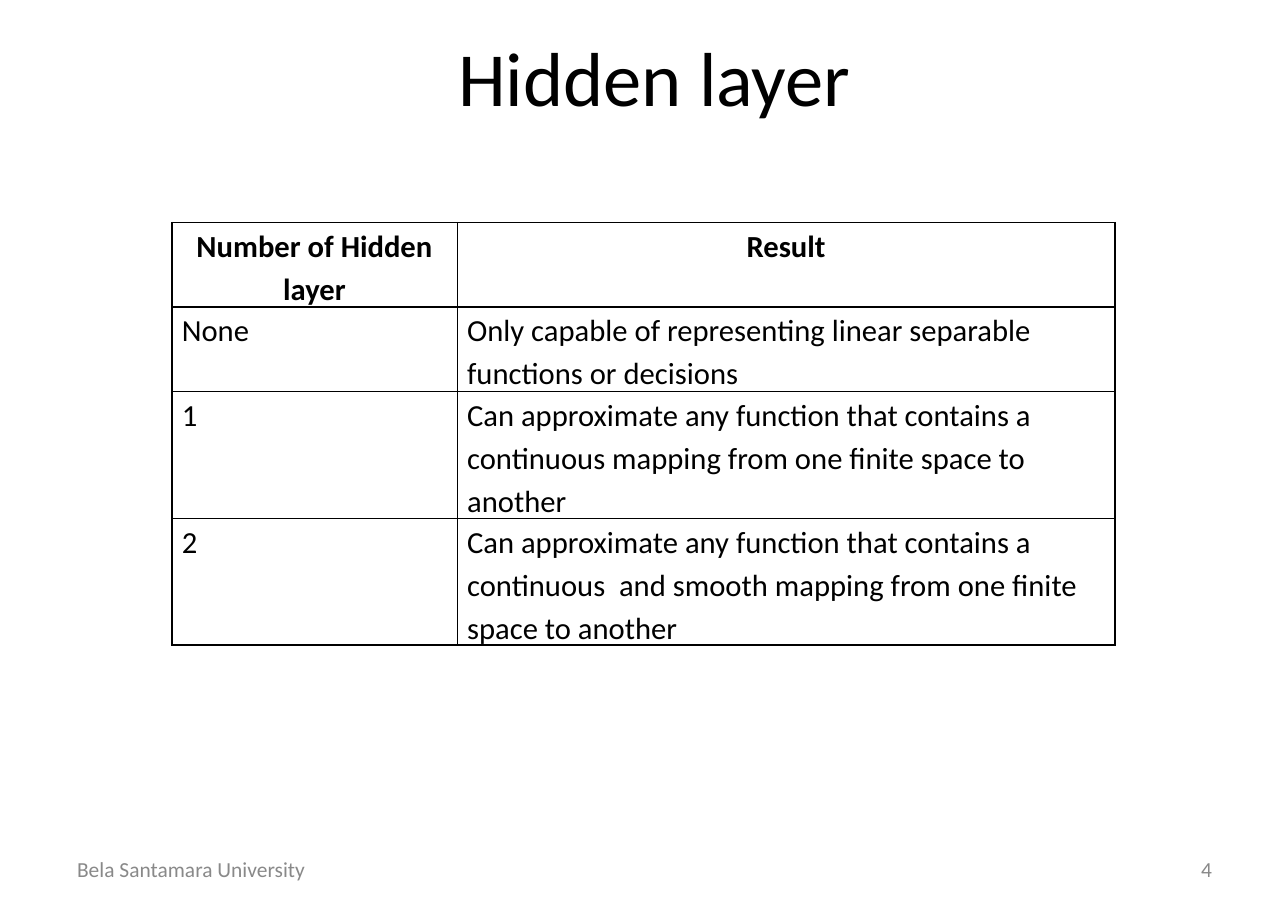
from pptx import Presentation
from pptx.dml.color import RGBColor
from pptx.enum.text import MSO_ANCHOR, PP_ALIGN
from pptx.oxml import parse_xml
from pptx.oxml.ns import nsdecls
from pptx.util import Inches, Pt

BLACK = RGBColor(0x00, 0x00, 0x00)
GRAY = RGBColor(0x89, 0x89, 0x89)
FONT = "Calibri"
LEFT, CENTER, RIGHT = PP_ALIGN.LEFT, PP_ALIGN.CENTER, PP_ALIGN.RIGHT

# text, (left, top, width, height), format
TEXTS = [
    ("Hidden layer", (0.68, 0, 10.52, 1.38), dict(size=50, align=CENTER)),
    ("Bela Santamara University", (0.59, 7.67, 2.73, 0.44), dict(size=14, color=GRAY)),
    ("4", (8.38, 7.67, 2.73, 0.44), dict(size=14, color=GRAY, align=RIGHT)),
]
ROWS = [
    ("Number of Hidden layer", "Result"),
    ("None", "Only capable of representing linear separable functions or decisions"),
    ("1", "Can approximate any function that contains a continuous mapping "
          "from one finite space to another"),
    ("2", "Can approximate any function that contains a continuous  and smooth "
          "mapping from one finite space to another"),
]
TABLE_LEFT, TABLE_TOP = 1.56, 2.02
COL_WIDTHS = [2.59, 5.97]
LINE_HEIGHT = 0.38
ROW_LINES = [2, 2, 3, 3]


def write(tf, text, size=20, color=BLACK, bold=False, align=LEFT, spacing=1.0):
    """Put one formatted paragraph in a text frame."""
    tf.word_wrap = True
    p = tf.paragraphs[0]
    p.alignment = align
    p.line_spacing = spacing
    r = p.add_run()
    r.text = text
    r.font.name, r.font.size, r.font.bold = FONT, Pt(size), bold
    r.font.color.rgb = color


def set_margins(target, side, end):
    """Set the inner margins of a text frame or a cell."""
    target.margin_left = target.margin_right = Inches(side)
    target.margin_top = target.margin_bottom = Inches(end)


def add_text(slide, text, box, **fmt):
    """Add a text box with vertically centred text."""
    tf = slide.shapes.add_textbox(*map(Inches, box)).text_frame
    tf.vertical_anchor = MSO_ANCHOR.MIDDLE
    set_margins(tf, 0.11, 0.06)
    write(tf, text, **fmt)


def add_borders(cell):
    """Draw a thin black line on every side of a cell."""
    tc_pr = cell._tc.get_or_add_tcPr()
    for i, side in enumerate(("lnL", "lnR", "lnT", "lnB")):
        tc_pr.insert(i, parse_xml(
            f'<a:{side} {nsdecls("a")} w="{Pt(1)}"><a:solidFill>'
            f'<a:srgbClr val="{BLACK}"/></a:solidFill></a:{side}>'))


def add_layer_table(slide):
    """Add the table of hidden layer counts and their results."""
    heights = [n * LINE_HEIGHT for n in ROW_LINES]
    table = slide.shapes.add_table(
        len(ROWS), len(COL_WIDTHS), Inches(TABLE_LEFT), Inches(TABLE_TOP),
        Inches(sum(COL_WIDTHS)), Inches(sum(heights))).table
    table.first_row = table.horz_banding = False
    for col, width in zip(table.columns, COL_WIDTHS):
        col.width = Inches(width)
    for i, (row, height, texts) in enumerate(zip(table.rows, heights, ROWS)):
        row.height = Inches(height)
        header = i == 0
        for cell, text in zip(row.cells, texts):
            set_margins(cell, 0.09, 0)
            cell.fill.background()
            add_borders(cell)
            write(cell.text_frame, text, bold=header, spacing=1.15,
                  align=CENTER if header else LEFT)


prs = Presentation()
prs.slide_width, prs.slide_height = Inches(11.69), Inches(8.27)
s = prs.slides.add_slide(prs.slide_layouts[6])
for text, box, fmt in TEXTS:
    add_text(s, text, box, **fmt)
add_layer_table(s)
prs.save("out.pptx")
